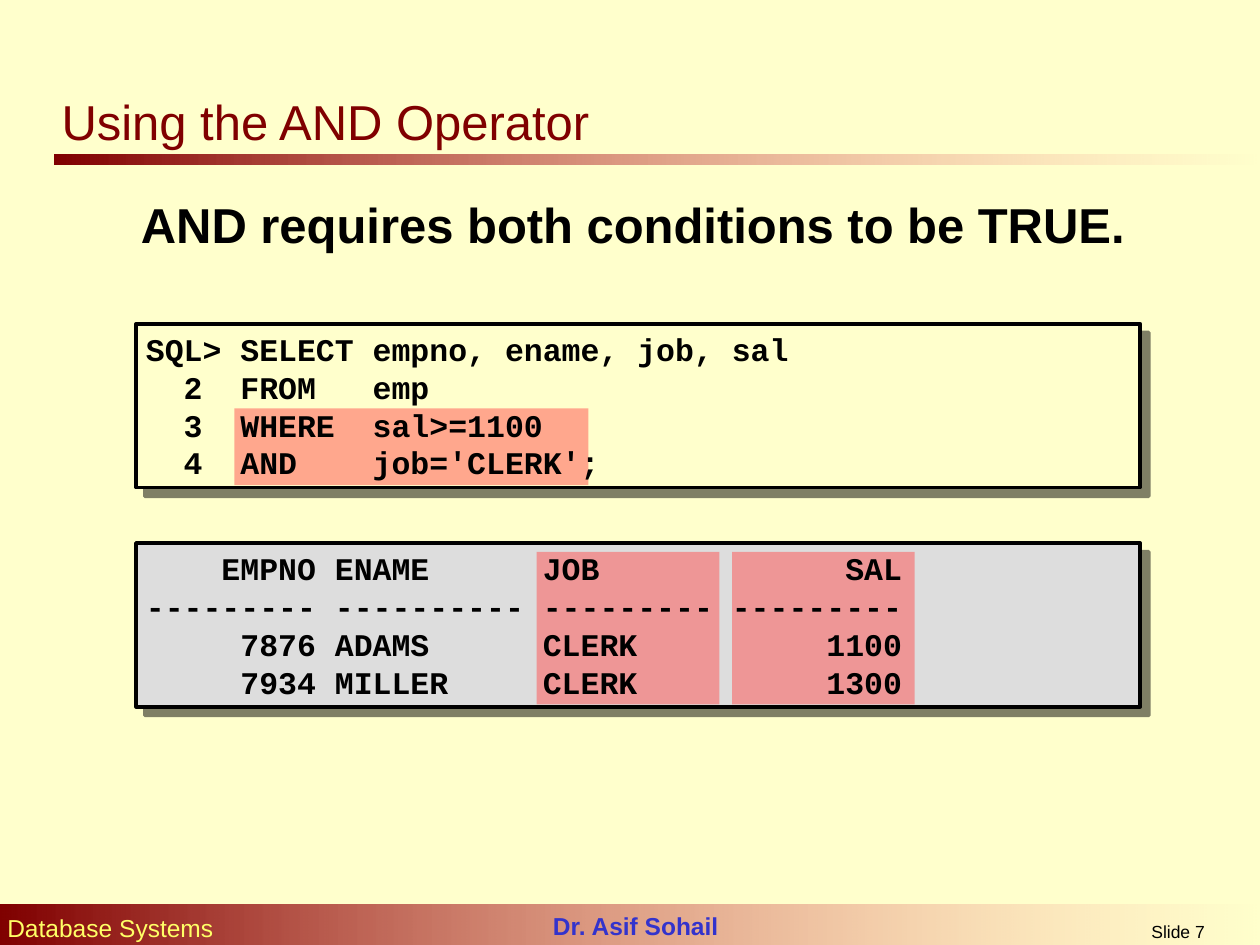
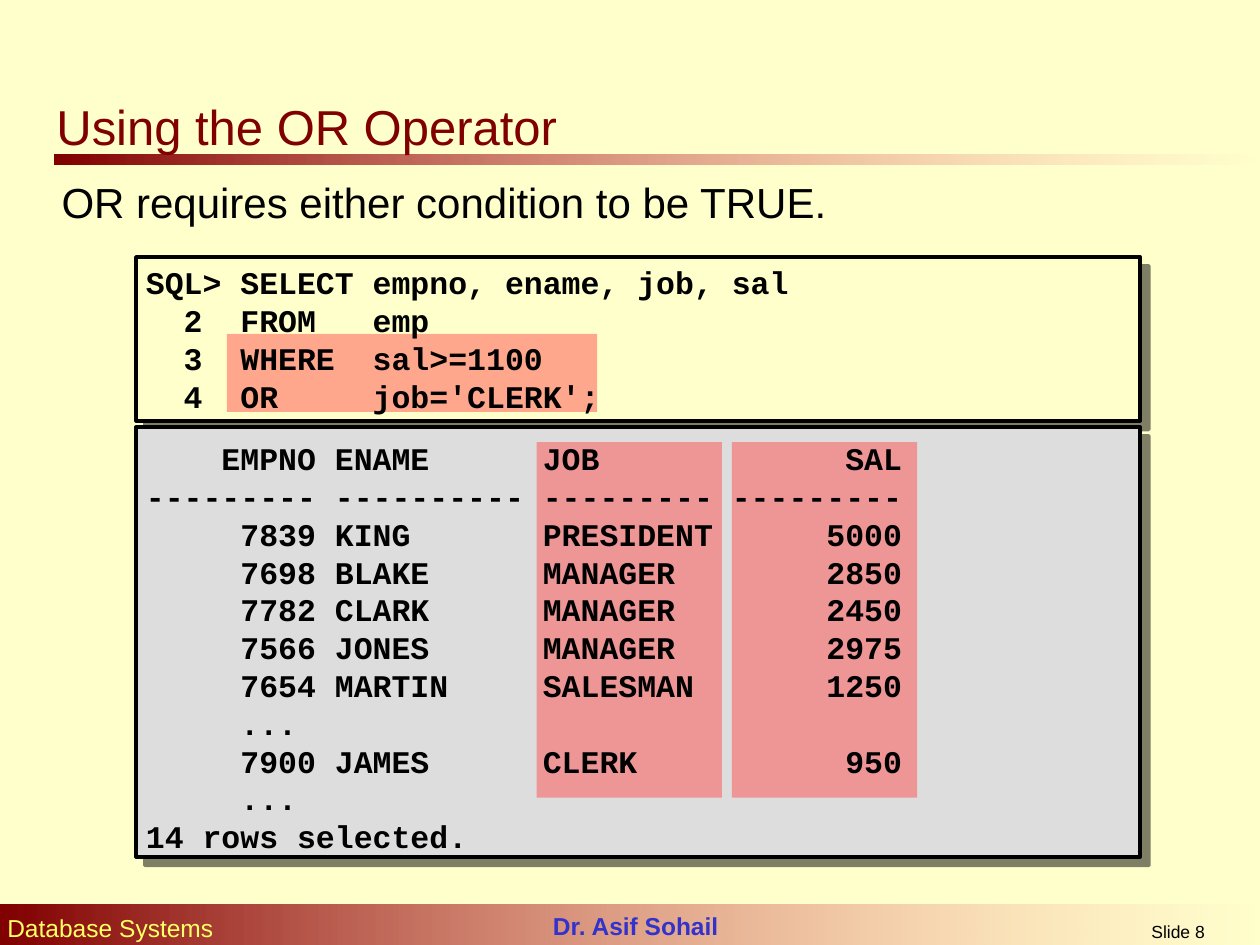
"""Two slides on the SQL AND and OR operators."""
from dataclasses import dataclass

from lxml import etree
from pptx import Presentation
from pptx.dml.color import RGBColor
from pptx.enum.shapes import MSO_SHAPE
from pptx.enum.text import MSO_ANCHOR, PP_ALIGN
from pptx.oxml.ns import qn
from pptx.util import Inches, Pt

RECTANGLE = MSO_SHAPE.RECTANGLE
TOP, MIDDLE = MSO_ANCHOR.TOP, MSO_ANCHOR.MIDDLE
LEFT, CENTER = PP_ALIGN.LEFT, PP_ALIGN.CENTER


@dataclass(frozen=True)
class Theme:
    """Colours, fonts and type sizes of the deck."""
    paper: str = "FFFFCC"
    maroon: str = "800000"
    fade: str = "FF8585"
    ink: str = "000000"
    result: str = "DDDDDD"
    highlight: str = "FF5050"
    course: str = "FFFF66"
    author: str = "3333CC"
    sans: str = "Arial"
    mono: str = "Courier New"
    title_size: int = 28
    body_size: int = 24
    code_size: int = 18
    footer_size: int = 14
    number_size: int = 10


THEME = Theme()
PANEL_LEFT, PANEL_WIDTH = 1.08, 7.97
RESULT_HEAD = [
    "    EMPNO ENAME      JOB             SAL",
    "--------- ---------- --------- ---------",
]


def colour(code):
    """Return the colour for a hex code."""
    return RGBColor.from_string(code)


def set_alpha(shape, percent):
    """Set the opacity of the last colour in a shape's fill."""
    last = shape._element.spPr.findall(".//" + qn("a:srgbClr"))[-1]
    etree.SubElement(last, qn("a:alpha"), val=str(percent * 1000))


def add_rectangle(page, left, top, width, height, fill=None):
    """Add a rectangle without outline or shadow."""
    shape = page.shapes.add_shape(
        RECTANGLE, Inches(left), Inches(top), Inches(width), Inches(height))
    shape.shadow.inherit = False
    shape.line.fill.background()
    if fill:
        shape.fill.solid()
        shape.fill.fore_color.rgb = colour(fill)
    return shape


def add_band(page, left, top, width, height):
    """Add a maroon band that fades out to the right."""
    band = add_rectangle(page, left, top, width, height)
    band.fill.gradient()
    band.fill.gradient_angle = 0
    for stop, code in zip(band.fill.gradient_stops, (THEME.maroon, THEME.fade)):
        stop.color.rgb = colour(code)
    set_alpha(band, 0)


def add_text(page, left, top, width, height, lines, size, code=THEME.ink,
             font=THEME.sans, bold=False, align=LEFT, anchor=TOP,
             wrap=True, spacing=None):
    """Add a text box with one paragraph for each line."""
    box = page.shapes.add_textbox(
        Inches(left), Inches(top), Inches(width), Inches(height))
    frame = box.text_frame
    frame.word_wrap = wrap
    frame.vertical_anchor = anchor
    frame.text = "\n".join(lines)
    for para in frame.paragraphs:
        para.alignment = align
        para.line_spacing = spacing
        para.font.name = font
        para.font.size = Pt(size)
        para.font.bold = bold
        para.font.color.rgb = colour(code)


def add_drop_shadow(shape):
    """Give a shape a hard half-transparent shadow at lower right."""
    effects = shape._element.spPr.find(qn("a:effectLst"))
    shadow = etree.SubElement(effects, qn("a:outerShdw"), blurRad="0",
                              dist=str(Pt(7.1)), dir="2700000",
                              algn="ctr", rotWithShape="0")
    tint = etree.SubElement(shadow, qn("a:srgbClr"), val=THEME.ink)
    etree.SubElement(tint, qn("a:alpha"), val="50000")


def add_code_panel(page, top, height, fill, lines, highlights, text_shift=0):
    """Add a framed code panel with highlights beneath its text."""
    panel = add_rectangle(page, PANEL_LEFT, top, PANEL_WIDTH, height, fill)
    panel.line.color.rgb = colour(THEME.ink)
    panel.line.width = Pt(2)
    add_drop_shadow(panel)
    for area in highlights:
        set_alpha(add_rectangle(page, *area, THEME.highlight), 50)
    add_text(page, PANEL_LEFT - 0.02, top + text_shift, 8, height, lines,
             THEME.code_size, font=THEME.mono, bold=True, anchor=MIDDLE)


def add_page(deck, number, title, left, top):
    """Add a page with its title, rule and footer."""
    page = deck.slides.add_slide(deck.slide_layouts[6])
    add_band(page, 0.43, 1.23, 9.57, 0.08)
    add_band(page, 0, 7.18, 10, 0.32)
    add_text(page, -0.04, 7.2, 2.2, 0.33, ["Database Systems"],
             THEME.footer_size, THEME.course)
    add_text(page, 8.31, 7.26, 2.08, 0.24, [f"Slide {number}"],
             THEME.number_size, align=CENTER)
    add_text(page, 4.29, 7.18, 2.2, 0.33, ["Dr. Asif Sohail"],
             THEME.footer_size, THEME.author, bold=True)
    add_text(page, left, top, 6, 0.59, [title], THEME.title_size, THEME.maroon)
    return page


def query(condition):
    """Return the numbered query lines ending with a condition."""
    return [
        "SQL> SELECT empno, ename, job, sal",
        "  2  FROM   emp",
        "  3  WHERE  sal>=1100",
        f"  4  {condition}",
    ]


def result_columns(top, width, height):
    """Return the highlight areas of the JOB and SAL columns."""
    return [(left, top, width, height) for left in (4.26, 5.81)]


def build_and_page(deck):
    """Build the page on the AND operator."""
    page = add_page(deck, 7, "Using the AND Operator", 0.39, 0.68)
    add_text(page, 1.02, 1.53, 8.03, 0.55,
             ["AND requires both conditions to be TRUE."],
             THEME.title_size, bold=True, wrap=False, spacing=0.95)
    add_code_panel(page, 2.57, 1.3, THEME.paper, query("AND    job='CLERK';"),
                   [(1.86, 3.24, 2.81, 0.61)])
    rows = [
        "     7876 ADAMS      CLERK          1100",
        "     7934 MILLER     CLERK          1300",
    ]
    add_code_panel(page, 4.31, 1.3, THEME.result, RESULT_HEAD + rows,
                   result_columns(4.38, 1.45, 1.21))


def build_or_page(deck):
    """Build the page on the OR operator."""
    page = add_page(deck, 8, "Using the OR Operator", 0.35, 0.72)
    add_text(page, 0.39, 1.38, 8.33, 0.48,
             ["OR requires either condition to be TRUE."],
             THEME.body_size, spacing=0.95)
    add_code_panel(page, 2.04, 1.3, THEME.paper, query("OR     job='CLERK';"),
                   [(1.8, 2.65, 2.94, 0.62)])
    rows = [
        "     7839 KING       PRESIDENT      5000",
        "     7698 BLAKE      MANAGER        2850",
        "     7782 CLARK      MANAGER        2450",
        "     7566 JONES      MANAGER        2975",
        "     7654 MARTIN     SALESMAN       1250",
        "     ...",
        "     7900 JAMES      CLERK           950",
        "     ...",
        "14 rows selected.",
    ]
    add_code_panel(page, 3.39, 3.41, THEME.result, RESULT_HEAD + rows,
                   result_columns(3.51, 1.47, 2.82), text_shift=0.04)


def main():
    """Build and save the deck."""
    deck = Presentation()
    deck.slide_width, deck.slide_height = Inches(10), Inches(7.5)
    backdrop = deck.slide_master.background.fill
    backdrop.solid()
    backdrop.fore_color.rgb = colour(THEME.paper)
    build_and_page(deck)
    build_or_page(deck)
    deck.save("out.pptx")


if __name__ == "__main__":
    main()
